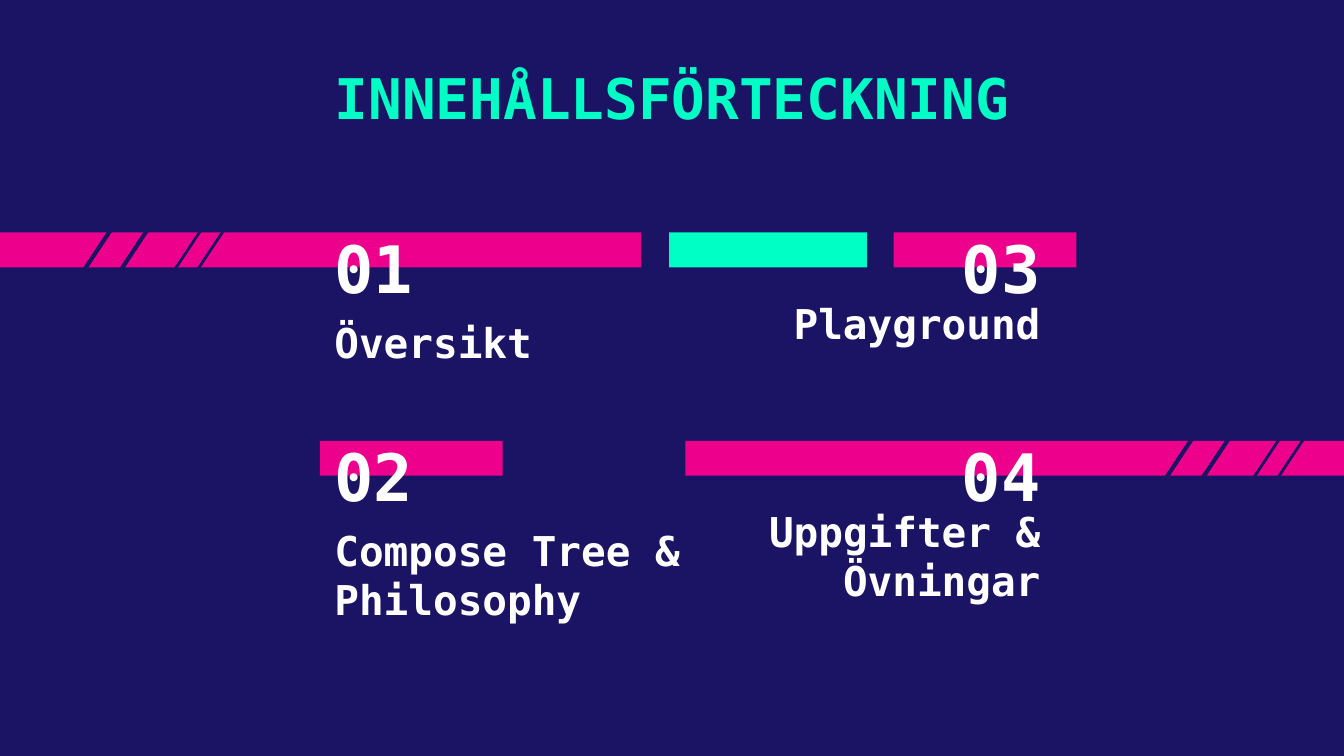
from lxml import etree
from pptx import Presentation
from pptx.dml.color import RGBColor
from pptx.enum.shapes import MSO_CONNECTOR, MSO_SHAPE
from pptx.enum.text import MSO_ANCHOR, MSO_AUTO_SIZE, PP_ALIGN
from pptx.oxml.ns import qn
from pptx.util import Inches, Pt

LEFT, CENTER, RIGHT = PP_ALIGN.LEFT, PP_ALIGN.CENTER, PP_ALIGN.RIGHT
TOP, BOTTOM = MSO_ANCHOR.TOP, MSO_ANCHOR.BOTTOM
RECTANGLE = MSO_SHAPE.RECTANGLE
STRAIGHT = MSO_CONNECTOR.STRAIGHT
NO_AUTOFIT = MSO_AUTO_SIZE.NONE

SLIDE_WIDTH = 10
SLIDE_HEIGHT = SLIDE_WIDTH * 9 / 16
COLORS = {"navy": "1B1464", "pink": "EC008C", "mint": "00FFC5", "white": "FFFFFF"}
FONT = "DejaVu Sans Mono"

TITLE = "INNEHÅLLSFÖRTECKNING"
ROW_TOPS = [1.73, 3.28]
BAR_HEIGHT = 0.26
BARS = [
    (0, 0, 4.77, "pink"),
    (0, 6.65, 1.36, "pink"),
    (1, 2.38, 1.36, "pink"),
    (1, 5.1, 4.9, "pink"),
    (0, 4.98, 1.47, "mint"),
]
SECTIONS = [
    ("01", "Översikt", 0, LEFT, 2.37),
    ("03", "Playground", 0, RIGHT, 3.15),
    ("02", "Compose Tree & Philosophy", 1, LEFT, 3.38),
    ("04", "Uppgifter & Övningar", 1, RIGHT, 3.15),
]
COLUMN_EDGES = {LEFT: 2.39, RIGHT: 7.84}
NUMBER_WIDTH, NUMBER_OFFSET = 2.37, 0.29
LABEL_OFFSETS = {LEFT: 0.63, RIGHT: 0.49}

STRIPE_RUN, STRIPE_RISE = 0.57, 0.86
STRIPES = [
    (1.03, 1.4, 2.25), (1.19, 1.57, 2.25), (1.53, 1.66, 1.5), (1.7, 1.66, 1.5),
    (9.25, 2.69, 2.25), (9.41, 2.86, 2.25), (9.57, 3.19, 1.5), (9.75, 3.19, 1.5),
]


def rgb(name):
    return RGBColor.from_string(COLORS[name])


def write(shape, text, size, color, alignment, anchor=TOP, vertical_inset=0):
    frame = shape.text_frame
    frame.text = text
    frame.word_wrap = True
    frame.auto_size = NO_AUTOFIT
    frame.vertical_anchor = anchor
    frame.margin_left = frame.margin_right = Inches(0.1)
    frame.margin_top = frame.margin_bottom = Inches(vertical_inset)
    paragraph = frame.paragraphs[0]
    paragraph.alignment = alignment
    font = paragraph.runs[0].font
    font.name, font.size, font.bold = FONT, Pt(size), True
    font.color.rgb = rgb(color)


def add_bar(slide, row, left, width, color):
    bar = slide.shapes.add_shape(
        RECTANGLE, Inches(left), Inches(ROW_TOPS[row]), Inches(width), Inches(BAR_HEIGHT))
    bar.shadow.inherit = False
    bar.fill.solid()
    bar.fill.fore_color.rgb = rgb(color)
    bar.line.fill.background()


def add_stripe(slide, x, y, weight):
    stripe = slide.shapes.add_connector(
        STRAIGHT, Inches(x), Inches(y), Inches(x - STRIPE_RUN), Inches(y + STRIPE_RISE))
    stripe.line.color.rgb = rgb("navy")
    stripe.line.width = Pt(weight)
    etree.SubElement(stripe._element.spPr, qn("a:effectLst"))


def add_section_text(slide, text, top, width, height, size, alignment, anchor):
    edge = COLUMN_EDGES[alignment]
    left = edge if alignment == LEFT else edge - width
    box = slide.shapes.add_textbox(Inches(left), Inches(top), Inches(width), Inches(height))
    write(box, text, size, "white", alignment, anchor)


def main():
    presentation = Presentation()
    presentation.slide_width = Inches(SLIDE_WIDTH)
    presentation.slide_height = Inches(SLIDE_HEIGHT)
    slide = presentation.slides.add_slide(presentation.slide_layouts[5])
    slide.background.fill.solid()
    slide.background.fill.fore_color.rgb = rgb("navy")

    title = slide.shapes.title
    title.left, title.top = Inches(1.4), Inches(0.37)
    title.width, title.height = Inches(7.2), Inches(0.73)
    write(title, TITLE, 30, "mint", CENTER, vertical_inset=0.1)

    for bar in BARS:
        add_bar(slide, *bar)
    for stripe in STRIPES:
        add_stripe(slide, *stripe)
    for number, label, row, alignment, label_width in SECTIONS:
        top = ROW_TOPS[row]
        add_section_text(slide, number, top + NUMBER_OFFSET, NUMBER_WIDTH, 0.26, 35, alignment, BOTTOM)
        add_section_text(slide, label, top + LABEL_OFFSETS[alignment], label_width, 0.47, 22, alignment, TOP)

    presentation.save("out.pptx")


if __name__ == "__main__":
    main()
